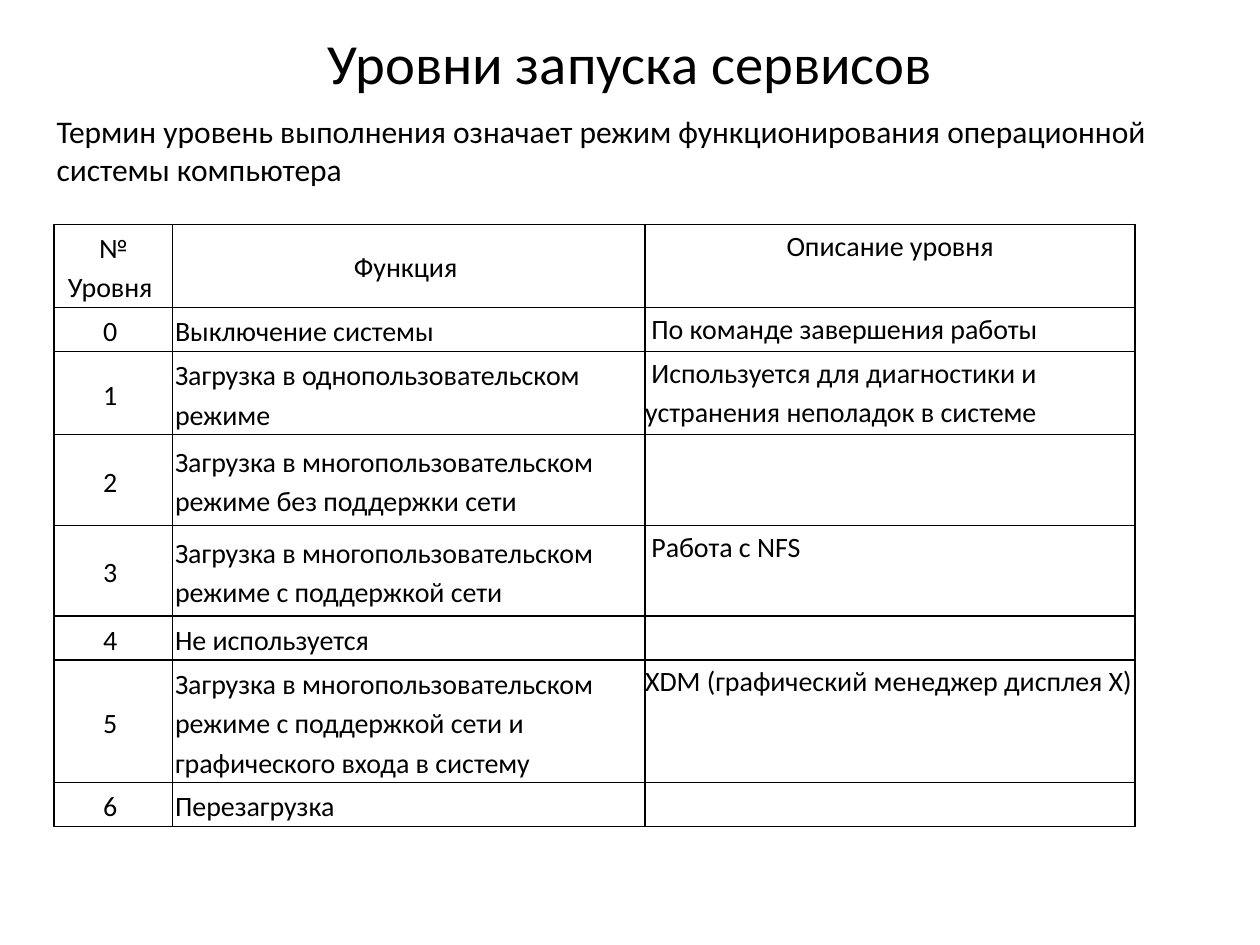
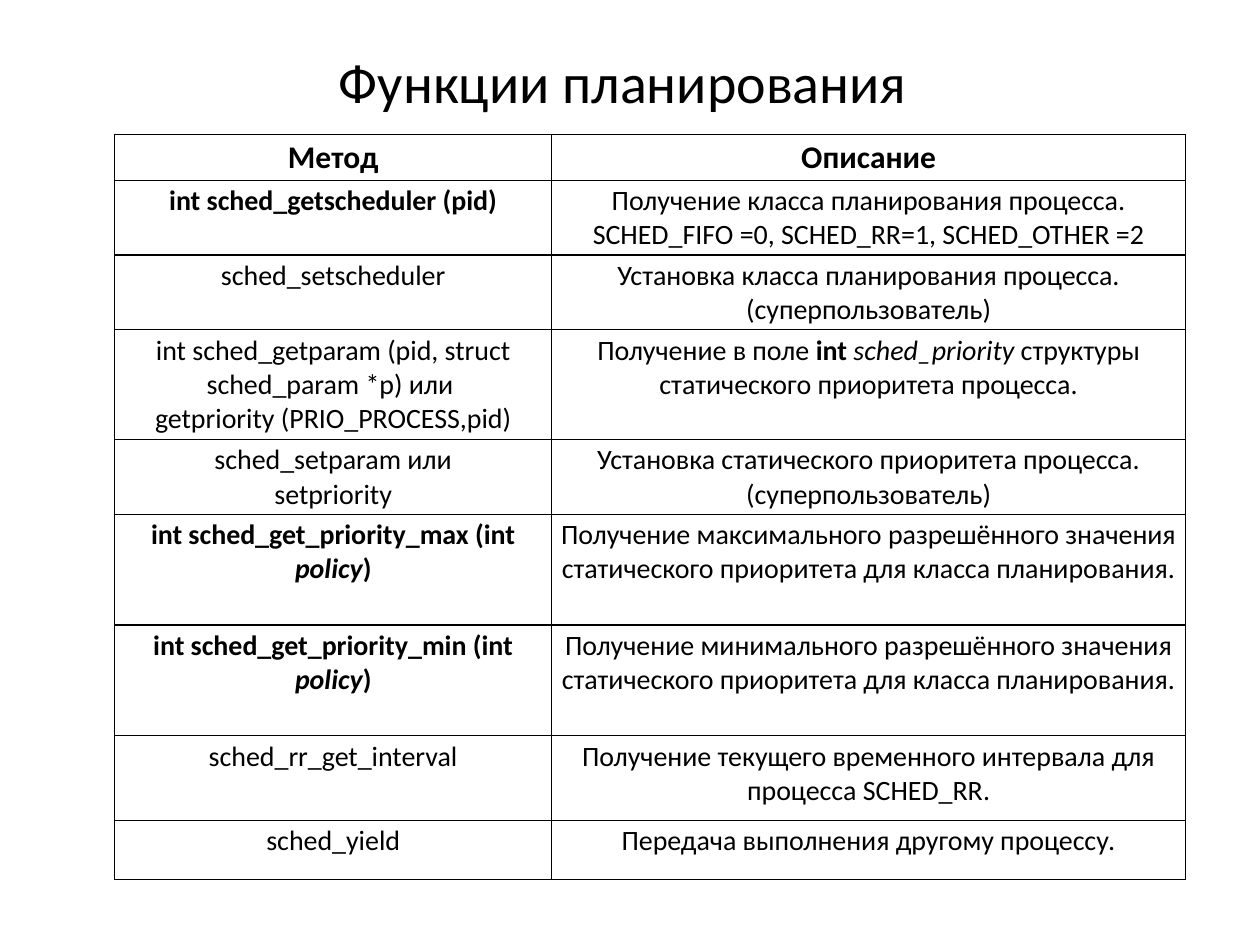
"""Build two slides with tables on service run levels and scheduling functions."""
from dataclasses import dataclass

from lxml import etree
from pptx import Presentation
from pptx.dml.color import RGBColor
from pptx.enum.text import MSO_ANCHOR, PP_ALIGN
from pptx.oxml.ns import qn
from pptx.util import Inches, Pt

CENTER, LEFT = PP_ALIGN.CENTER, PP_ALIGN.LEFT
MIDDLE, TOP = MSO_ANCHOR.MIDDLE, MSO_ANCHOR.TOP
COLORS = {"text": "000000", "border": "000000", "background": "FFFFFF"}
FONT = "Calibri"
BLANK_LAYOUT = 6


@dataclass(frozen=True)
class Span:
    text: str
    bold: bool = False
    italic: bool = False


Paragraphs = list[list[Span]]


@dataclass(frozen=True)
class Style:
    size: float
    align: int = CENTER
    anchor: int = TOP
    inset: float = 0.03
    line_spacing: float = 1.0
    space_after: float = 0
    indent: float = 0


@dataclass(frozen=True)
class Cell:
    paragraphs: Paragraphs
    style: Style


@dataclass(frozen=True)
class Grid:
    left: float
    top: float
    columns: list[float]
    heights: list[float]
    border: float
    cells: list[list[Cell]]


@dataclass(frozen=True)
class TextArea:
    left: float
    top: float
    width: float
    height: float
    text: str
    style: Style


LEVEL_NUMBER = Style(16, CENTER, MIDDLE, 0.02, 1.15, 10)
LEVEL_FUNCTION = Style(16, LEFT, MIDDLE, 0.02, 1.15, 10)
LEVEL_HEADER = Style(16, CENTER, TOP, 0, 1.15, 10)
LEVEL_NOTE = Style(16, LEFT, TOP, 0, 1.15, 10)
LEVEL_NOTE_INDENTED = Style(16, LEFT, TOP, 0, 1.15, 10, 0.05)
METHOD_HEADER = Style(18)
METHOD = Style(16)

MULTI_USER = "Загрузка в многопользовательском режиме "
LEVELS = [
    ("Выключение системы", "По команде завершения работы", LEVEL_NOTE_INDENTED),
    ("Загрузка в однопользовательском режиме",
     "Используется для диагностики и устранения неполадок в системе", LEVEL_NOTE_INDENTED),
    (MULTI_USER + "без поддержки сети", "", LEVEL_NOTE),
    (MULTI_USER + "с поддержкой сети", "Работа с NFS", LEVEL_NOTE_INDENTED),
    ("Не используется", "", LEVEL_NOTE),
    (MULTI_USER + "с поддержкой сети и графического входа в систему",
     "XDM (графический менеджер дисплея X)", LEVEL_NOTE),
    ("Перезагрузка", "", LEVEL_NOTE),
]


def plain(*lines: str, bold: bool = False) -> Paragraphs:
    return [[Span(line, bold)] for line in lines if line]


def priority_limit(suffix: str, adjective: str) -> tuple[Paragraphs, Paragraphs]:
    signature = [Span(f"int sched_get_priority_{suffix} (int ", True),
                 Span("policy", True, True), Span(")", True)]
    meaning = (f"Получение {adjective} разрешённого значения "
               "статического приоритета для класса планирования.")
    return [signature], plain(meaning)


METHODS = [
    (plain("int sched_getscheduler (pid)", bold=True),
     plain("Получение класса планирования процесса.",
           "SCHED_FIFO =0, SCHED_RR=1, SCHED_OTHER =2")),
    (plain("sched_setscheduler"),
     plain("Установка класса планирования процесса. (суперпользователь)")),
    (plain("int sched_getparam (pid, struct sched_param *p) или ",
           "getpriority (PRIO_PROCESS,pid)"),
     [[Span("Получение в поле "), Span("int ", True), Span("sched_priority ", italic=True),
       Span("структуры статического приоритета процесса.")]]),
    (plain("sched_setparam или", "setpriority"),
     plain("Установка статического приоритета процесса.", "(суперпользователь)")),
    priority_limit("max", "максимального"),
    priority_limit("min", "минимального"),
    (plain("sched_rr_get_interval"),
     plain("Получение текущего временного интервала для процесса SCHED_RR.")),
    (plain("sched_yield"), plain("Передача выполнения другому процессу.")),
]

LEVEL_CELLS = [[Cell(plain("№ Уровня "), LEVEL_NUMBER),
                Cell(plain("Функция "), LEVEL_NUMBER),
                Cell(plain("Описание уровня"), LEVEL_HEADER)]]
LEVEL_CELLS += [
    [Cell(plain(f"{number} "), LEVEL_NUMBER), Cell(plain(function), LEVEL_FUNCTION),
     Cell(plain(note), note_style)]
    for number, (function, note, note_style) in enumerate(LEVELS)]
METHOD_CELLS = [[Cell(plain(heading, bold=True), METHOD_HEADER)
                 for heading in ("Метод", "Описание")]]
METHOD_CELLS += [[Cell(paragraphs, METHOD) for paragraphs in row] for row in METHODS]

PAGES = [
    ([TextArea(0.5, 0.3, 9, 0.38, "Уровни запуска сервисов", Style(32.4, anchor=MIDDLE)),
      TextArea(0.35, 0.84, 9.21, 0.71,
               "Термин уровень выполнения означает режим функционирования "
               "операционной системы компьютера", Style(18, LEFT))],
     Grid(0.43, 1.78, [0.94, 3.75, 3.89],
          [0.66, 0.35, 0.66, 0.72, 0.72, 0.35, 0.97, 0.35], 1, LEVEL_CELLS)),
    ([TextArea(0.35, 0.3, 9.29, 0.69, "Функции планирования ", Style(32, anchor=MIDDLE))],
     Grid(0.91, 1.07, [3.47, 5.03],
          [0.36, 0.59, 0.59, 0.87, 0.59, 0.88, 0.88, 0.67, 0.47], 0.75, METHOD_CELLS)),
]


def write_paragraphs(frame, paragraphs: Paragraphs, style: Style) -> None:
    for index, spans in enumerate(paragraphs):
        para = frame.add_paragraph() if index else frame.paragraphs[0]
        para.alignment = style.align
        para.line_spacing = style.line_spacing
        para.space_after = Pt(style.space_after)
        if style.indent:
            para._p.get_or_add_pPr().set("indent", str(Inches(style.indent)))
        for span in spans:
            run = para.add_run()
            run.text = span.text
            run.font.name = FONT
            run.font.size = Pt(style.size)
            run.font.bold = span.bold
            run.font.italic = span.italic
            run.font.color.rgb = RGBColor.from_string(COLORS["text"])


def add_text(page, area: TextArea) -> None:
    box = page.shapes.add_textbox(Inches(area.left), Inches(area.top),
                                  Inches(area.width), Inches(area.height))
    frame = box.text_frame
    frame.word_wrap = True
    frame.vertical_anchor = area.style.anchor
    write_paragraphs(frame, plain(area.text), area.style)


def add_borders(table_cell, width: float) -> None:
    properties = table_cell._tc.get_or_add_tcPr()
    for side in ("a:lnL", "a:lnR", "a:lnT", "a:lnB"):
        line = etree.SubElement(properties, qn(side), w=str(Pt(width)))
        fill = etree.SubElement(line, qn("a:solidFill"))
        etree.SubElement(fill, qn("a:srgbClr"), val=COLORS["border"])


def add_grid(page, grid: Grid) -> None:
    table = page.shapes.add_table(
        len(grid.heights), len(grid.columns), Inches(grid.left), Inches(grid.top),
        Inches(sum(grid.columns)), Inches(sum(grid.heights))).table
    table.first_row = table.horz_banding = False
    for column, width in zip(table.columns, grid.columns):
        column.width = Inches(width)
    for row, height, cells in zip(table.rows, grid.heights, grid.cells):
        row.height = Inches(height)
        for table_cell, cell in zip(row.cells, cells):
            inset = Inches(cell.style.inset)
            table_cell.margin_left = table_cell.margin_right = inset
            table_cell.margin_top = table_cell.margin_bottom = inset
            table_cell.vertical_anchor = cell.style.anchor
            add_borders(table_cell, grid.border)
            table_cell.fill.background()
            write_paragraphs(table_cell.text_frame, cell.paragraphs, cell.style)


def main() -> None:
    deck = Presentation()
    deck.slide_width, deck.slide_height = Inches(10), Inches(7.5)
    for areas, grid in PAGES:
        page = deck.slides.add_slide(deck.slide_layouts[BLANK_LAYOUT])
        page.background.fill.solid()
        page.background.fill.fore_color.rgb = RGBColor.from_string(COLORS["background"])
        for area in areas:
            add_text(page, area)
        add_grid(page, grid)
    deck.save("out.pptx")


if __name__ == "__main__":
    main()
